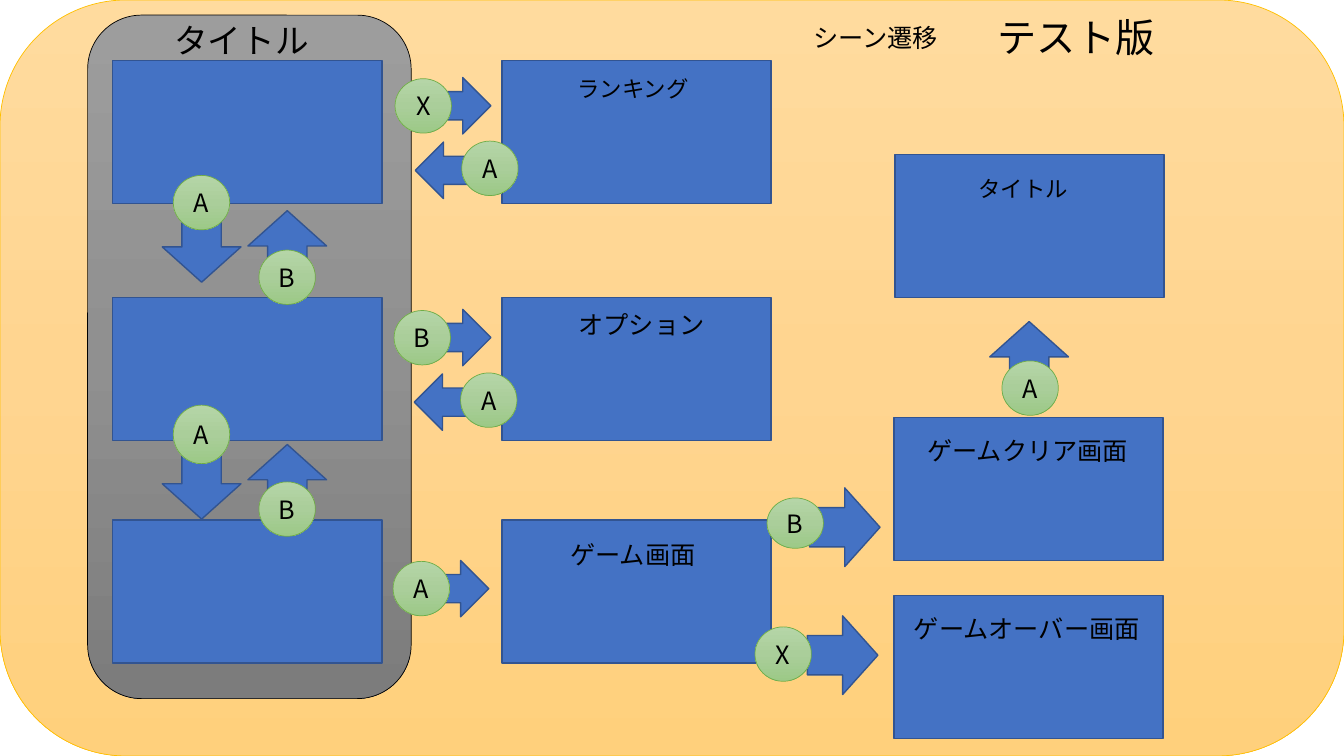
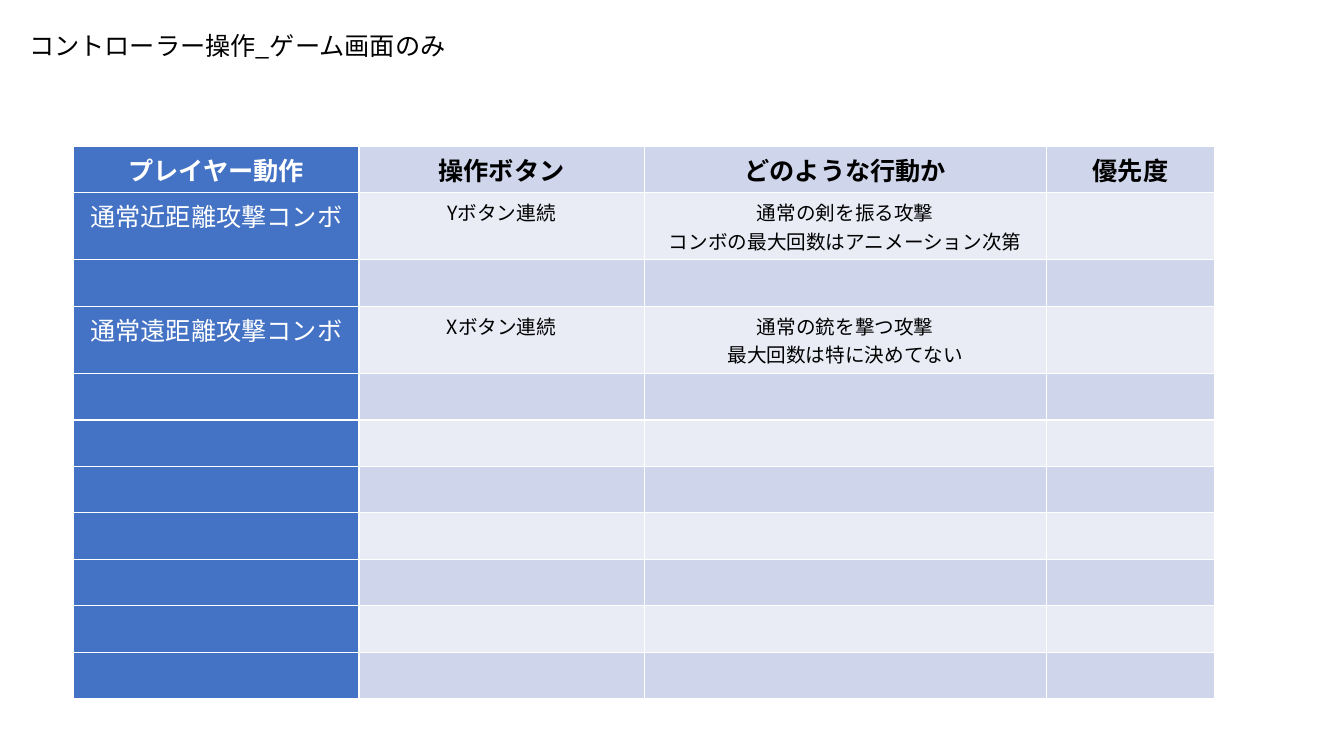
"""Build a scene transition map and a controller operation table."""
from copy import deepcopy
from dataclasses import dataclass

from lxml.etree import SubElement
from pptx import Presentation
from pptx.dml.color import RGBColor
from pptx.enum.shapes import MSO_SHAPE
from pptx.enum.text import MSO_ANCHOR, MSO_AUTO_SIZE, PP_ALIGN
from pptx.oxml.ns import qn
from pptx.util import Pt

FONT = "Noto Sans CJK JP"
BLACK = RGBColor(0x00, 0x00, 0x00)
WHITE = RGBColor(0xFF, 0xFF, 0xFF)
BLUE = RGBColor(0x44, 0x72, 0xC4)
NAVY = RGBColor(0x32, 0x54, 0x91)
GOLD = RGBColor(0xFF, 0xC0, 0x00)
GREEN = RGBColor(0x70, 0xAD, 0x47)
DARK_BAND = RGBColor(0xCF, 0xD5, 0xEA)
LIGHT_BAND = RGBColor(0xE9, 0xEB, 0xF5)
GOLD_SHADES = (RGBColor(0xFF, 0xDB, 0x9E), RGBColor(0xFF, 0xD5, 0x90), RGBColor(0xFF, 0xD0, 0x7C))
GRAY_SHADES = (RGBColor(0x9D, 0x9D, 0x9D), RGBColor(0x90, 0x90, 0x90), RGBColor(0x7C, 0x7C, 0x7C))
GREEN_SHADES = (RGBColor(0xB5, 0xD5, 0xA7), RGBColor(0xAA, 0xCE, 0x9A), RGBColor(0x9C, 0xC9, 0x87))

SLIDE_WIDTH, SLIDE_HEIGHT = 960, 540
SCREEN_WIDTH, SCREEN_HEIGHT = 192.2, 102.2
BADGE_WIDTH, BADGE_HEIGHT = 40.3, 38.9
MENU_LEFT, SCENE_LEFT, RESULT_LEFT = 80.6, 358.6, 638.6
ROW_TOPS = (43.2, 212.4, 371.5)
TABLE_LEFT, TABLE_TOP = 52.6, 104.4
ROW_HEIGHT, TALL_ROW_HEIGHT, ROW_COUNT = 33.2, 48, 11


@dataclass(frozen=True)
class Label:
    text: str
    left: float
    top: float
    width: float
    height: float
    size: float = 18
    wrap: bool = False
    align: PP_ALIGN = PP_ALIGN.LEFT


@dataclass(frozen=True)
class ArrowKind:
    preset: MSO_SHAPE
    width: float
    height: float
    rotation: float = 0


@dataclass(frozen=True)
class Move:
    kind: ArrowKind
    left: float
    top: float
    key: str
    badge_left: float
    badge_top: float
    badge_height: float = BADGE_HEIGHT


@dataclass(frozen=True)
class Column:
    heading: str
    width: float
    size: float


FORWARD = ArrowKind(MSO_SHAPE.RIGHT_ARROW, 53.3, 40.3)
BACK = ArrowKind(MSO_SHAPE.RIGHT_ARROW, 53.3, 40.3, 180)
DOWN = ArrowKind(MSO_SHAPE.DOWN_ARROW, 56.2, 50.4)
UP = ArrowKind(MSO_SHAPE.DOWN_ARROW, 56.2, 50.4, 180)
ONWARD = ArrowKind(MSO_SHAPE.DOWN_ARROW, 56.2, 50.4, 270)

SCREENS = [(left, top) for left in (MENU_LEFT, SCENE_LEFT) for top in ROW_TOPS] + [
    (639.4, 110.2), (RESULT_LEFT, 298.1), (RESULT_LEFT, 425.5)]

MOVES = (
    Move(DOWN, 115.9, 151.2, "A", 123.8, 125.3),
    Move(UP, 177.1, 150.5, "B", 185, 178.6),
    Move(DOWN, 115.9, 320.4, "A", 123.8, 289.4, 41.8),
    Move(UP, 177.1, 317.5, "B", 185, 344.2),
    Move(FORWARD, 297.4, 55.4, "X", 282.2, 56.2),
    Move(BACK, 296.6, 101.5, "A", 329.8, 100.8),
    Move(FORWARD, 297.4, 221, "B", 281.5, 221.8),
    Move(BACK, 295.9, 267.1, "A", 329, 266.4),
    Move(FORWARD, 295.9, 400.3, "A", 280.8, 401),
    Move(UP, 707, 229.7, "A", 715.7, 257.8),
    Move(ONWARD, 575.3, 351.4, "B", 547.9, 355.7, 36),
    Move(ONWARD, 573.8, 442.8, "X", 539.3, 447.8),
)

SCENE_LABELS = (
    Label("タイトル", 117.4, 10.8, 111.6, 36, 24),
    Label("ランキング", 405.4, 50.4, 95, 26.6, 16),
    Label("オプション", 406.1, 217.4, 105.1, 28.8),
    Label("ゲーム画面", 400.3, 381.6, 105.1, 28.8),
    Label("ゲームクリア画面", 655.2, 307.4, 159.8, 28.8),
    Label("ゲームオーバー画面", 645.8, 434.9, 177.8, 28.8),
    Label("タイトル", 691.9, 121.7, 79.2, 26.6, 16),
    Label("シーン遷移", 573.8, 12.2, 105.1, 28.8),
    Label("テスト版", 697, 5.8, 143.3, 41, 28, True, PP_ALIGN.CENTER),
)
TABLE_LABEL = Label("コントローラー操作_ゲーム画面のみ", 13.7, 18, 314.6, 28.8, wrap=True)

COLUMNS = (
    Column("プレイヤー動作", 203.8, 18),
    Column("操作ボタン", 203.8, 14),
    Column("どのような行動か", 287.3, 14),
    Column("優先度", 120.2, 14),
)
ACTIONS = {
    1: ("通常近距離攻撃コンボ", "Yボタン連続", "通常の剣を振る攻撃\nコンボの最大回数はアニメーション次第", ""),
    3: ("通常遠距離攻撃コンボ", "Xボタン連続", "通常の銃を撃つ攻撃\n最大回数は特に決めてない", ""),
}


def add_span(para, text: str, size: float, color: RGBColor = BLACK, bold: bool = False) -> None:
    span = para.add_run()
    span.text = text
    span.font.size = Pt(size)
    span.font.bold = bold
    span.font.color.rgb = color
    span.font.name = FONT
    SubElement(span.font._element, qn("a:ea")).set("typeface", FONT)


def add_box(page, preset: MSO_SHAPE, left: float, top: float, width: float, height: float,
            line: RGBColor = NAVY, shades: tuple[RGBColor, ...] = ()):
    box = page.shapes.add_shape(preset, Pt(left), Pt(top), Pt(width), Pt(height))
    box.shadow.inherit = False
    box.line.color.rgb = line
    box.line.width = Pt(0.5 if shades else 1)
    if not shades:
        box.fill.solid()
        box.fill.fore_color.rgb = BLUE
        return box
    box.fill.gradient()
    box.fill.gradient_angle = 270
    stops = box._element.spPr.find(qn("a:gradFill")).find(qn("a:gsLst"))
    stops.insert(1, deepcopy(stops[0]))
    for index, (stop, shade) in enumerate(zip(box.fill.gradient_stops, shades)):
        stop.position = index / 2
        stop.color.rgb = shade
    return box


def add_label(page, label: Label) -> None:
    box = page.shapes.add_textbox(Pt(label.left), Pt(label.top), Pt(label.width), Pt(label.height))
    frame = box.text_frame
    frame.word_wrap = label.wrap
    frame.auto_size = MSO_AUTO_SIZE.SHAPE_TO_FIT_TEXT
    para = frame.paragraphs[0]
    para.alignment = label.align
    add_span(para, label.text, label.size)


def add_move(page, move: Move) -> None:
    kind = move.kind
    arrow = add_box(page, kind.preset, move.left, move.top, kind.width, kind.height)
    arrow.rotation = kind.rotation
    badge = add_box(page, MSO_SHAPE.OVAL, move.badge_left, move.badge_top,
                    BADGE_WIDTH, move.badge_height, GREEN, GREEN_SHADES)
    badge.text_frame.vertical_anchor = MSO_ANCHOR.MIDDLE
    para = badge.text_frame.paragraphs[0]
    para.alignment = PP_ALIGN.CENTER
    add_span(para, move.key, 18)


def style_cell(cell, fill: RGBColor) -> None:
    properties = cell._tc.get_or_add_tcPr()
    for side in ("a:lnL", "a:lnR", "a:lnT", "a:lnB"):
        border = SubElement(properties, qn(side), w=str(Pt(1)))
        paint = SubElement(border, qn("a:solidFill"))
        SubElement(paint, qn("a:srgbClr"), val=str(WHITE))
    cell.fill.solid()
    cell.fill.fore_color.rgb = fill


def fill_cell(cell, text: str, size: float, color: RGBColor, bold: bool) -> None:
    for index, line in enumerate(text.split("\n")):
        para = cell.text_frame.add_paragraph() if index else cell.text_frame.paragraphs[0]
        para.alignment = PP_ALIGN.CENTER
        add_span(para, line, size, color, bold)


def build_scene_page(page) -> None:
    add_box(page, MSO_SHAPE.ROUNDED_RECTANGLE, 0, 0, SLIDE_WIDTH, SLIDE_HEIGHT, GOLD, GOLD_SHADES)
    add_box(page, MSO_SHAPE.ROUNDED_RECTANGLE, 62.6, 10.8, 231.1, 488.2, BLACK, GRAY_SHADES)
    for left, top in SCREENS:
        add_box(page, MSO_SHAPE.RECTANGLE, left, top, SCREEN_WIDTH, SCREEN_HEIGHT)
    for move in MOVES:
        add_move(page, move)
    for label in SCENE_LABELS:
        add_label(page, label)


def build_table_page(page) -> None:
    heights = [TALL_ROW_HEIGHT if row in ACTIONS else ROW_HEIGHT for row in range(ROW_COUNT)]
    width = sum(column.width for column in COLUMNS)
    table = page.shapes.add_table(ROW_COUNT, len(COLUMNS), Pt(TABLE_LEFT), Pt(TABLE_TOP),
                                  Pt(width), Pt(sum(heights))).table
    for index, column in enumerate(COLUMNS):
        table.columns[index].width = Pt(column.width)
    for row, height in enumerate(heights):
        table.rows[row].height = Pt(height)
        for index, column in enumerate(COLUMNS):
            cell = table.cell(row, index)
            heading = row == 0
            text = column.heading if heading else ACTIONS.get(row, [""] * len(COLUMNS))[index]
            band = LIGHT_BAND if row % 2 else DARK_BAND
            style_cell(cell, band if index else BLUE)
            if text:
                fill_cell(cell, text, 18 if heading else column.size,
                          BLACK if index else WHITE, heading)
    add_label(page, TABLE_LABEL)


def main() -> None:
    deck = Presentation()
    deck.slide_width, deck.slide_height = Pt(SLIDE_WIDTH), Pt(SLIDE_HEIGHT)
    blank = deck.slide_layouts[6]
    for build in (build_scene_page, build_table_page):
        build(deck.slides.add_slide(blank))
    deck.save("out.pptx")


if __name__ == "__main__":
    main()
